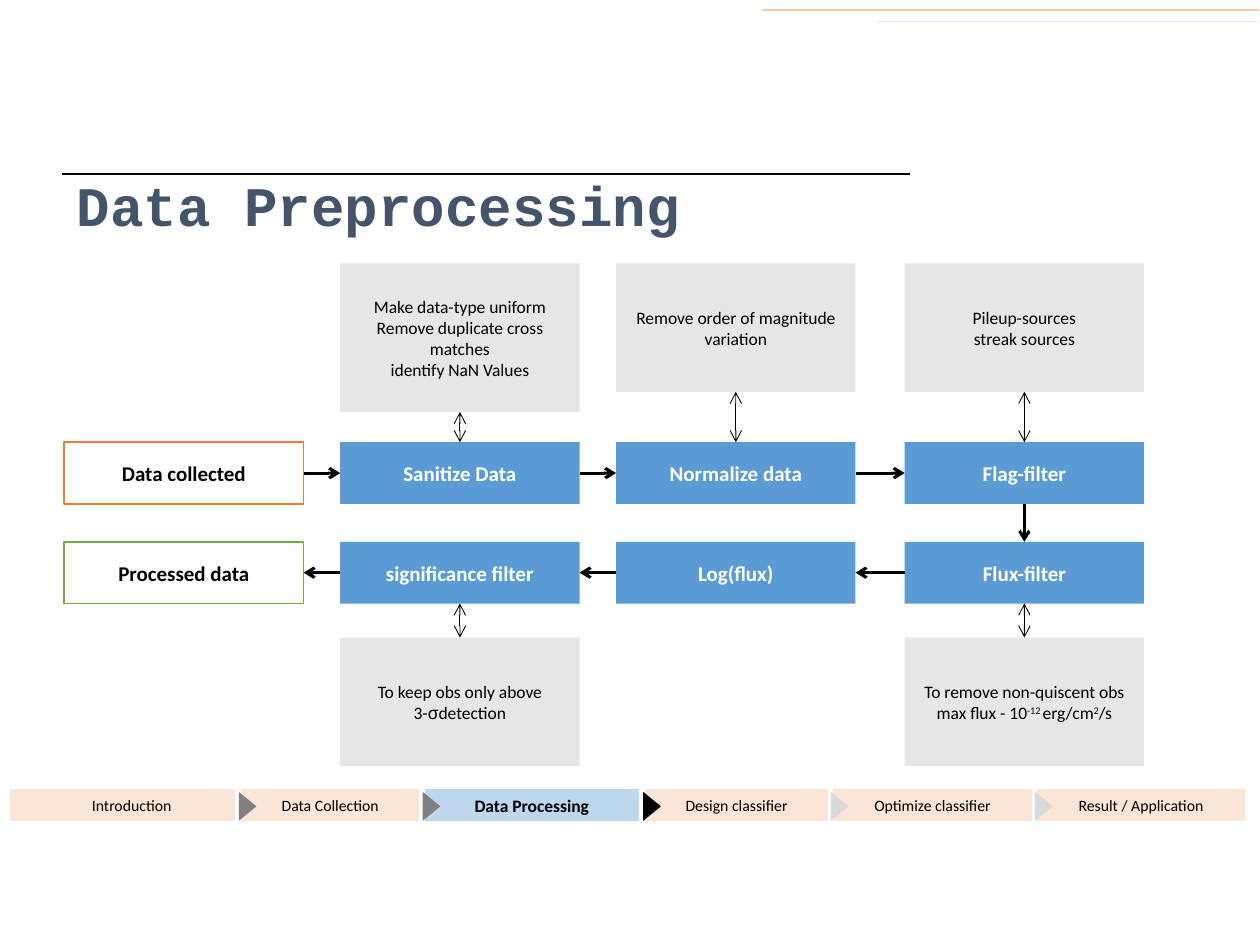
from dataclasses import dataclass

from lxml import etree
from pptx import Presentation
from pptx.dml.color import RGBColor
from pptx.enum.shapes import MSO_CONNECTOR, MSO_SHAPE
from pptx.enum.text import MSO_ANCHOR, MSO_AUTO_SIZE, PP_ALIGN
from pptx.oxml.ns import qn
from pptx.util import Inches, Pt


@dataclass(frozen=True)
class Theme:
    body_font: str = "Calibri"
    title_font: str = "Courier New"
    symbol_font: str = "Arial"
    black: str = "000000"
    white: str = "FFFFFF"
    title: str = "44546A"
    step: str = "5B9BD5"
    note: str = "E7E6E6"
    source: str = "ED7D31"
    result: str = "70AD47"
    rule_dark: str = "F8CBAD"
    peach: str = "FBE5D6"
    current: str = "BDD7EE"
    passed: str = "808080"
    ahead: str = "D9D9D9"
    title_size: float = 31.9
    step_size: float = 12
    note_size: float = 10
    nav_size: float = 9
    current_size: float = 10


THEME = Theme()
SUPER = {"baseline": 30000}

# Content: steps in flow order as (text, column, row)
TITLE = "Data Preprocessing"
STEPS = [
    ("Data collected", 0, 0), ("Sanitize Data", 1, 0),
    ("Normalize data", 2, 0), ("Flag-filter", 3, 0),
    ("Flux-filter", 3, 1), ("Log(flux)", 2, 1),
    ("significance filter", 1, 1), ("Processed data", 0, 1),
]
OUTLINED = {"Data collected": THEME.source, "Processed data": THEME.result}
# Notes: step -> (paragraphs, height); a paragraph is a list of (text, format) runs
NOTES = {
    "Sanitize Data": ([[("Make data-type uniform", {})],
                       [("Remove duplicate cross matches", {})],
                       [("identify NaN Values", {})]], 1.18),
    "Normalize data": ([[("Remove order of magnitude variation", {})]], 1.02),
    "Flag-filter": ([[("Pileup-sources", {})], [("streak sources", {})]], 1.02),
    "Flux-filter": ([[("To remove non-quiscent obs", {})],
                     [("max flux - 10", {}), ("-12 ", SUPER), ("erg/cm", {}),
                      ("2", SUPER), ("/s", {})]], 1.02),
    "significance filter": ([[("To keep obs only above", {})],
                             [("3-", {}), ("σ", {"font": THEME.symbol_font}),
                              ("detection", {})]], 1.02),
}
# Progress bar: (text, left, width)
SECTIONS = [
    ("Introduction", 0.06, 1.97), ("Data Collection", 1.89, 1.46),
    ("Data Processing", 3.35, 1.74), ("Design classifier", 5.1, 1.49),
    ("Optimize classifier", 6.59, 1.62), ("Result / Application", 8.21, 1.69),
]
CURRENT = 2

# Layout in inches
COLUMNS = [0.51, 2.7, 4.89, 7.18]
ROWS = [3.51, 4.3]
NOTE_TOPS = [2.09, 5.06]
STEP_WIDTH, STEP_HEIGHT = 1.9, 0.49
NAV_TOP, NAV_HEIGHT = 6.24, 0.3
ARROW_WIDTH, ARROW_HEIGHT = 0.23, 0.14
RULES = [
    (0.49, 7.22, 1.38, THEME.black, 1.5),
    (9.99, 6.05, 0.08, THEME.rule_dark, 1),
    (9.99, 6.96, 0.17, THEME.peach, 1),
]
TOP, LEFT, BOTTOM, RIGHT = range(4)


def write_text(shape, paragraphs, *, size, color, font=THEME.body_font,
               bold=False, align=PP_ALIGN.CENTER):
    frame = shape.text_frame
    frame.word_wrap = True
    frame.auto_size = MSO_AUTO_SIZE.NONE
    frame.vertical_anchor = MSO_ANCHOR.MIDDLE
    for index, runs in enumerate(paragraphs):
        paragraph = frame.add_paragraph() if index else frame.paragraphs[0]
        paragraph.alignment = align
        for text, changes in runs:
            run = paragraph.add_run()
            run.text = text
            run.font.name = changes.get("font", font)
            run.font.size = Pt(size)
            run.font.bold = bold
            run.font.color.rgb = RGBColor.from_string(color)
            if "baseline" in changes:
                run._r.get_or_add_rPr().set("baseline", str(changes["baseline"]))


def add_block(slide, left, top, width, height, fill, line=None, line_width=1,
              kind=MSO_SHAPE.RECTANGLE):
    shape = slide.shapes.add_shape(
        kind, Inches(left), Inches(top), Inches(width), Inches(height))
    shape.shadow.inherit = False
    shape.fill.solid()
    shape.fill.fore_color.rgb = RGBColor.from_string(fill)
    if line:
        shape.line.color.rgb = RGBColor.from_string(line)
        shape.line.width = Pt(line_width)
    else:
        shape.line.fill.background()
    return shape


def add_line(slide, start, end, color, width, heads=()):
    connector = slide.shapes.add_connector(
        MSO_CONNECTOR.STRAIGHT, *map(Inches, (*start, *end)))
    connector.line.color.rgb = RGBColor.from_string(color)
    connector.line.width = Pt(width)
    for head in heads:
        etree.SubElement(connector.line._get_or_add_ln(), qn(f"a:{head}"), type="arrow")
    etree.SubElement(connector._element.spPr, qn("a:effectLst"))
    return connector


def join(slide, first, first_side, second, second_side, width, heads):
    connector = add_line(slide, (0, 0), (0, 0), THEME.black, width, heads)
    connector.begin_connect(first, first_side)
    connector.end_connect(second, second_side)


def add_title(slide):
    title = slide.shapes.title
    title.left, title.top = Inches(0.51), Inches(1.15)
    title.width, title.height = Inches(7.18), Inches(0.94)
    write_text(title, [[(TITLE, {})]], size=THEME.title_size, color=THEME.title,
               font=THEME.title_font, bold=True, align=PP_ALIGN.LEFT)


def add_progress_bar(slide):
    for index, (text, left, width) in enumerate(SECTIONS):
        active = index == CURRENT
        box = add_block(slide, left, NAV_TOP, width, NAV_HEIGHT,
                        THEME.current if active else THEME.peach, THEME.white, 3)
        write_text(box, [[(text, {})]], color=THEME.black, bold=active,
                   size=THEME.current_size if active else THEME.nav_size)
    # One pointer at the start of every section after the first
    for index, (_, left, _) in enumerate(SECTIONS[1:]):
        color = (THEME.passed if index < CURRENT
                 else THEME.black if index == CURRENT else THEME.ahead)
        pointer = add_block(slide, left - 0.04, NAV_TOP + 0.09, ARROW_WIDTH,
                            ARROW_HEIGHT, color, kind=MSO_SHAPE.ISOSCELES_TRIANGLE)
        pointer.rotation = 90


def add_flow(slide):
    boxes = []
    for text, column, row in STEPS:
        outline = OUTLINED.get(text)
        box = add_block(slide, COLUMNS[column], ROWS[row], STEP_WIDTH, STEP_HEIGHT,
                        THEME.white if outline else THEME.step, outline)
        write_text(box, [[(text, {})]], size=THEME.step_size, bold=True,
                   color=THEME.black if outline else THEME.white)
        boxes.append(box)

        # Note above or below its step
        if text in NOTES:
            paragraphs, height = NOTES[text]
            note = add_block(slide, COLUMNS[column], NOTE_TOPS[row], STEP_WIDTH,
                             height, THEME.note)
            write_text(note, paragraphs, size=THEME.note_size, color=THEME.black)
            upper, lower = (box, note) if row else (note, box)
            join(slide, upper, BOTTOM, lower, TOP, 0.5, ("headEnd", "tailEnd"))

    # Arrows from each step to the next
    for index in range(len(STEPS) - 1):
        row, next_row = STEPS[index][2], STEPS[index + 1][2]
        if row != next_row:
            sides = BOTTOM, TOP
        else:
            sides = (LEFT, RIGHT) if row else (RIGHT, LEFT)
        join(slide, boxes[index], sides[0], boxes[index + 1], sides[1], 1.75,
             ("tailEnd",))


def main():
    presentation = Presentation()
    presentation.slide_width, presentation.slide_height = Inches(10), Inches(7.5)
    slide = presentation.slides.add_slide(presentation.slide_layouts[5])
    for start, end, top, color, width in RULES:
        add_line(slide, (start, top), (end, top), color, width)
    add_title(slide)
    add_progress_bar(slide)
    add_flow(slide)
    presentation.save("out.pptx")


if __name__ == "__main__":
    main()
